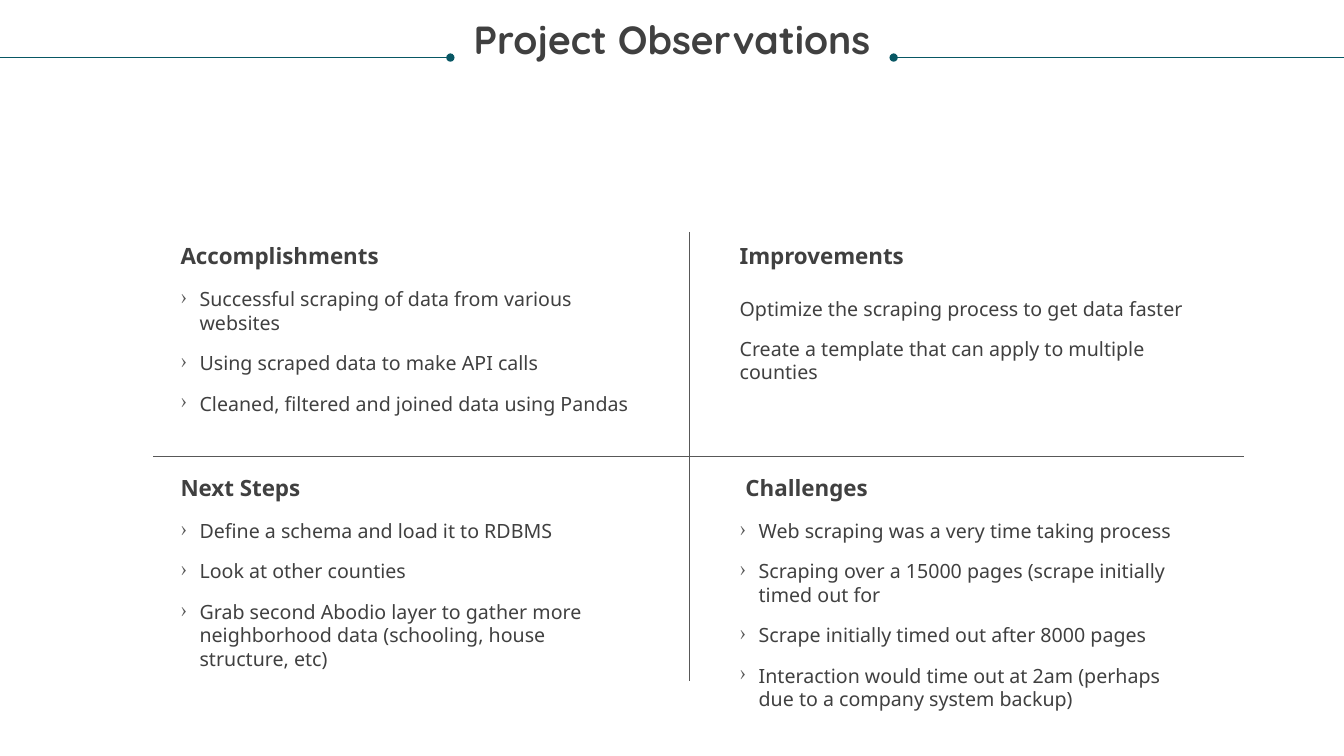
from lxml import etree
from pptx import Presentation
from pptx.dml.color import RGBColor
from pptx.enum import shapes, text
from pptx.oxml import ns
from pptx.util import Cm, Pt

INK, GREY, TEAL = "404040", "585858", "085764"
LEFT, RIGHT, COLUMN = 4.55, 18.64, 11.56
QUADRANTS = [
    (LEFT, 6.1, 7.24, "Accomplishments", True, [
        "Successful scraping of data from various websites",
        "Using scraped data to make API calls",
        "Cleaned, filtered and joined data using Pandas"]),
    (RIGHT, 6.1, 7.47, "Improvements", False, [
        "Optimize the scraping process to get data faster",
        "Create a template that can apply to multiple counties"]),
    (LEFT, 11.96, 13.08, "Next Steps", True, [
        "Define a schema and load it to RDBMS",
        "Look at other counties",
        "Grab second Abodio layer to gather more neighborhood data "
        "(schooling, house structure, etc)"]),
    (RIGHT, 11.96, 13.08, " Challenges", True, [
        "Web scraping was a very time taking process",
        "Scraping over a 15000 pages (scrape initially timed out for",
        "Scrape initially timed out after 8000 pages",
        "Interaction would time out at 2am (perhaps due to a company "
        "system backup)"]),
]


def rgb(value):
    """Turn a hex string into a colour."""
    return RGBColor.from_string(value)


def add_run(p, words, size, font="Noto Sans", bold=False):
    """Add one formatted run to a paragraph."""
    r = p.add_run()
    r.text = words
    r.font.name, r.font.size, r.font.bold = font, Pt(size), bold
    r.font.color.rgb = rgb(INK)


def set_frame(tf):
    """Make a text frame wrap, without margins, from the top."""
    tf.word_wrap = True
    tf.margin_left = tf.margin_right = tf.margin_top = tf.margin_bottom = 0
    tf.vertical_anchor = text.MSO_ANCHOR.TOP


def add_bullet(p):
    """Give a paragraph a hanging angle bullet."""
    pPr = p._p.get_or_add_pPr()
    pPr.set("marL", str(Cm(0.48)))
    pPr.set("indent", str(-Cm(0.48)))
    colour = etree.SubElement(pPr, ns.qn("a:buClr"))
    etree.SubElement(colour, ns.qn("a:srgbClr"), val=GREY)
    etree.SubElement(pPr, ns.qn("a:buChar"), char="›")


def add_text(s, x, y, h, lines, size, bold=False, bullets=False):
    """Add a text box with one paragraph for each line."""
    tf = s.shapes.add_textbox(Cm(x), Cm(y), Cm(COLUMN), Cm(h)).text_frame
    set_frame(tf)
    for i, words in enumerate(lines):
        p = tf.add_paragraph() if i else tf.paragraphs[0]
        if i:
            p.space_before = Pt(12)
        if bullets:
            add_bullet(p)
        add_run(p, words, size, bold=bold)


def add_line(s, x1, y1, x2, y2, colour, dot=False):
    """Add a thin line, with a dot at its end if wanted."""
    line = s.shapes.add_connector(
        shapes.MSO_CONNECTOR.STRAIGHT, Cm(x1), Cm(y1), Cm(x2), Cm(y2))
    line.line.color.rgb = rgb(colour)
    line.line.width = Pt(0.5)
    if dot:
        etree.SubElement(line.line._get_or_add_ln(), ns.qn("a:tailEnd"),
                         type="oval")
    etree.SubElement(line._element.spPr, ns.qn("a:effectLst"))


def add_title(s, words):
    """Place and format the title placeholder."""
    sp = s.shapes.title
    sp.left, sp.top, sp.width, sp.height = Cm(0.64), Cm(0.53), Cm(32.59), Cm(1.85)
    set_frame(sp.text_frame)
    p = sp.text_frame.paragraphs[0]
    p.alignment = text.PP_ALIGN.CENTER
    p.line_spacing = 0.9
    add_run(p, words, 28, "Quicksand", True)


def main():
    """Build the slide and save it."""
    prs = Presentation()
    prs.slide_width, prs.slide_height = Cm(33.87), Cm(19.05)
    s = prs.slides.add_slide(prs.slide_layouts[5])
    add_title(s, "Project Observations")
    for edge, end in ((0, 11.35), (33.87, 22.52)):
        add_line(s, edge, 1.45, end, 1.45, TEAL, dot=True)
    add_line(s, 3.86, 11.51, 31.34, 11.51, GREY)
    add_line(s, 17.37, 5.84, 17.37, 17.17, GREY)
    for x, head_y, body_y, heading, bullets, lines in QUADRANTS:
        add_text(s, x, head_y, 0.69, [heading], 16, bold=True)
        add_text(s, x, body_y, 4, lines, 14, bullets=bullets)
    prs.save("out.pptx")


main()
